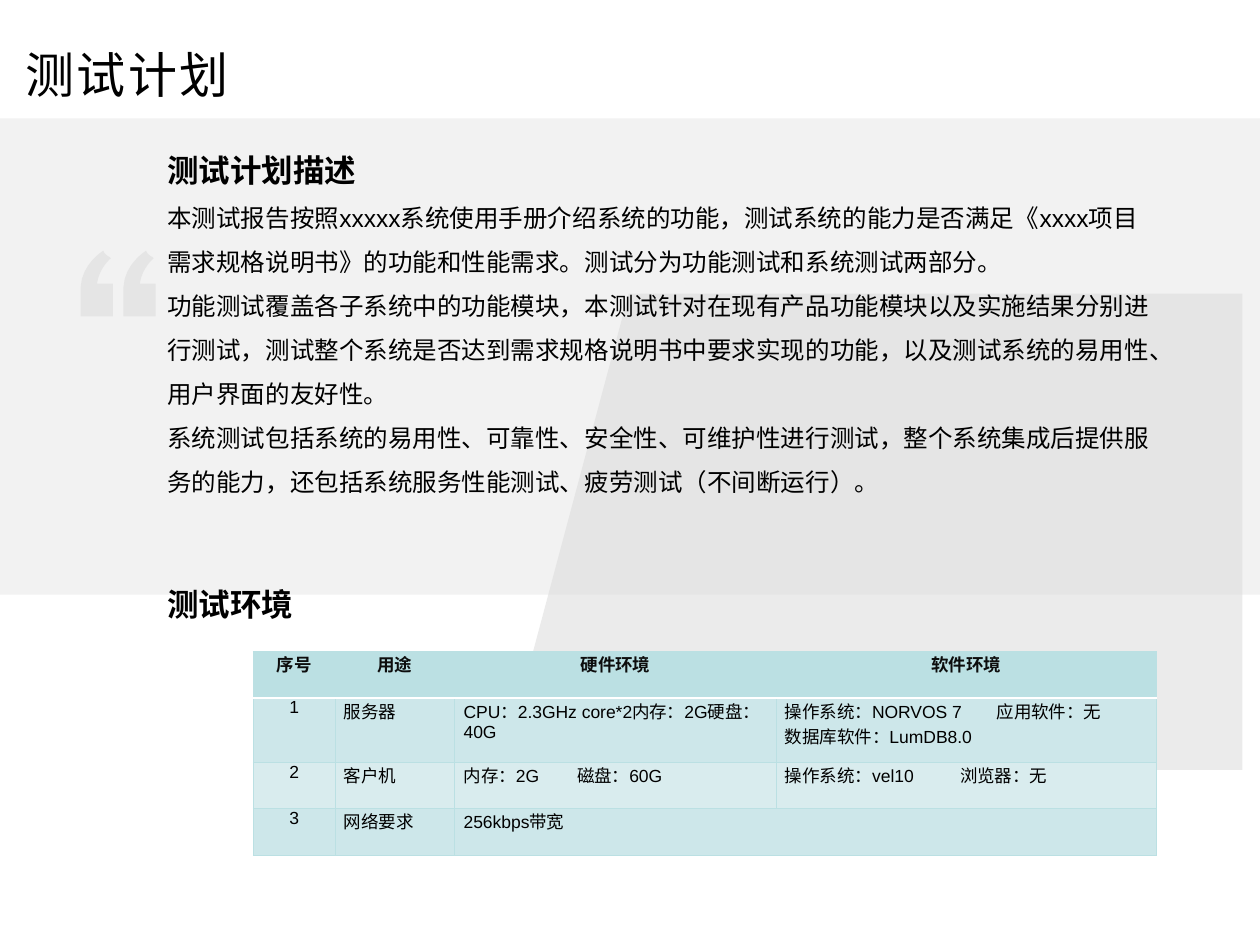
import pptx
import pptx.util
import pptx.dml.color
import pptx.enum.shapes
import pptx.enum.text
import pptx.oxml.ns
import lxml.etree

COLORS = {
    "ink": "000000", "header ink": "0D0D0D", "band": "F2F2F2", "veil": "D9D9D9",
    "teal": "BBE0E3", "row dark": "CDE7EA", "row light": "D9ECEE", "white": "FFFFFF",
}
LATIN, ASIAN = "Arial", "Noto Sans CJK SC"
ALIGN = pptx.enum.text.PP_ALIGN


def rgb(name):
    return pptx.dml.color.RGBColor.from_string(COLORS[name])


def add_xml(parent, tag, **attributes):
    values = {key: str(value) for key, value in attributes.items()}
    return lxml.etree.SubElement(parent, pptx.oxml.ns.qn(tag), values)


def write(para, text, size=14, bold=False, color="ink", latin=LATIN,
          align=ALIGN.LEFT, line=None, before=0, tracking=None, tab=None):
    """Fill a paragraph; a vertical tab in the text is a line break."""
    para.alignment = align
    para.space_before = pptx.util.Pt(before)
    para.space_after = pptx.util.Pt(0)
    para.line_spacing = pptx.util.Pt(line) if line else 1.0
    if tab:
        stops = add_xml(para._p.get_or_add_pPr(), "a:tabLst")
        add_xml(stops, "a:tab", pos=pptx.util.Inches(tab), algn="l")
    for index, piece in enumerate(text.split("\v")):
        if index:
            para.add_line_break()
        span = para.add_run()
        span.text = piece
        span.font.size = pptx.util.Pt(size)
        span.font.bold = bold
        span.font.name = latin
        span.font.color.rgb = rgb(color)
        properties = span.font._element
        add_xml(properties, "a:ea", typeface=ASIAN)
        if tracking:
            properties.set("spc", str(int(tracking * 100)))


class Page:
    """The current slide, measured on a grid of 100 columns by 75 rows."""
    columns, rows = 100, 75

    def __init__(self, deck):
        self.slide = deck.slides.add_slide(deck.slide_layouts[5])
        self.shapes = self.slide.shapes
        self.column = deck.slide_width / self.columns
        self.row = deck.slide_height / self.rows

    def x(self, columns):
        return pptx.util.Emu(round(columns * self.column))

    def y(self, rows):
        return pptx.util.Emu(round(rows * self.row))

    def frame(self, left, top, width, height):
        return self.x(left), self.y(top), self.x(width), self.y(height)

    def paint(self, shape, color, opacity=100):
        shape.shadow.inherit = False
        shape.fill.solid()
        shape.fill.fore_color.rgb = rgb(color)
        shape.line.fill.background()
        if opacity < 100:
            tone = shape._element.spPr.find(".//" + pptx.oxml.ns.qn("a:srgbClr"))
            add_xml(tone, "a:alpha", val=opacity * 1000)

    def title(self, text, *place):
        box = self.shapes.title
        box.left, box.top, box.width, box.height = self.frame(*place)
        frame = box.text_frame
        frame.word_wrap = True
        frame.auto_size = pptx.enum.text.MSO_AUTO_SIZE.NONE
        frame.vertical_anchor = pptx.enum.text.MSO_ANCHOR.TOP
        frame.margin_left, frame.margin_right = self.x(0.8), self.x(0.7)
        frame.margin_top, frame.margin_bottom = self.y(1.4), 0
        write(frame.paragraphs[0], text, size=28, latin=ASIAN, tracking=1.5)

    def rectangle(self, color, *place):
        kind = pptx.enum.shapes.MSO_SHAPE.RECTANGLE
        self.paint(self.shapes.add_shape(kind, *self.frame(*place)), color)

    def outline(self, points, color, opacity):
        points = [(self.x(x), self.y(y)) for x, y in points]
        builder = self.shapes.build_freeform(*points[0], scale=1.0)
        builder.add_line_segments(points[1:], close=True)
        self.paint(builder.convert_to_shape(), color, opacity)

    def text(self, paragraphs, *place):
        frame = self.shapes.add_textbox(*self.frame(*place)).text_frame
        frame.word_wrap = True
        for index, (words, style) in enumerate(paragraphs):
            para = frame.add_paragraph() if index else frame.paragraphs[0]
            write(para, words, **style)

    def border(self, cell, side, color, width):
        line = add_xml(cell._tc.get_or_add_tcPr(), "a:ln" + side,
                       w=pptx.util.Pt(width))
        add_xml(add_xml(line, "a:solidFill"), "a:srgbClr", val=COLORS[color])

    def table(self, records, widths, heights, left, top):
        place = self.frame(left, top, sum(widths), sum(heights))
        table = self.shapes.add_table(len(records), len(widths), *place).table
        table.first_row = table.horz_banding = False
        for column, width in zip(table.columns, widths):
            column.width = self.x(width)
        for row, height in zip(table.rows, heights):
            row.height = self.y(height)
        fills = ["teal", "row dark", "row light", "row dark"]
        for r, record in enumerate(records):
            for c, entry in enumerate(record):
                cell = table.cell(r, c)
                cell.margin_left = cell.margin_right = self.x(0.7)
                cell.margin_top = cell.margin_bottom = 0
                for side in "LRTB":
                    rule = (r, side) in ((0, "B"), (1, "T"))
                    self.border(cell, side, "white" if rule else "teal",
                                1 if rule else 0.5)
                cell.fill.solid()
                cell.fill.fore_color.rgb = rgb(fills[r])
                if entry is None:
                    table.cell(r, c - 1).merge(cell)
                    continue
                words, tab = entry if isinstance(entry, tuple) else (entry, None)
                centred = r == 0 or c == 0
                write(cell.text_frame.paragraphs[0], words, size=10, bold=r == 0,
                      color="ink" if r else "header ink", tab=tab,
                      align=ALIGN.CENTER if centred else ALIGN.LEFT)


def curve(start, first, second, end, steps=8):
    """Points along a cubic curve, without its start."""
    for step in range(1, steps + 1):
        t = step / steps
        weights = (1 - t) ** 3, 3 * t * (1 - t) ** 2, 3 * t * t * (1 - t), t ** 3
        yield tuple(sum(w * p[axis] for w, p in zip(weights, (start, first, second, end)))
                    for axis in (0, 1))


def quote_mark(left, top):
    points = [(1.8, 0), (1.9, 0.2),
              *curve((1.9, 0.2), (2.0, 0.3), (2.1, 0.4), (2.3, 0.5)), (2.4, 0.6),
              *curve((2.4, 0.6), (2.4, 0.6), (1.5, 1.3), (1.3, 2.6)),
              (2.55, 2.6), (2.55, 5.2), (0, 5.2), (0, 2.9),
              *curve((0, 2.9), (0.1, 1.0), (1.8, 0), (1.8, 0))]
    return [(left + x, top + y) for x, y in points]


deck = pptx.Presentation()
deck.slide_width, deck.slide_height = pptx.util.Inches(10), pptx.util.Inches(7.5)
page = Page(deck)

# Background band, slanted veil and quote marks
page.rectangle("band", 0, 9.4, 100, 37.8)
page.outline([(49.9, 23.3), (98.6, 23.3), (98.6, 61.1), (39.8, 61.1)], "veil", 50)
for mark_left in (6.4, 9.8):
    page.outline(quote_mark(mark_left, 19.9), "veil", 50)

# Title
page.title("测试计划", 1.2, 2.1, 80.3, 9.1)

# Plan description and heading of the table
heading = {"size": 18, "bold": True, "line": 33.7}
body = {"size": 14, "line": 25.14}
page.text([
    ("测试计划描述", heading),
    ("本测试报告按照xxxxx系统使用手册介绍系统的功能，测试系统的能力是否满足《xxxx项目"
     "需求规格说明书》的功能和性能需求。测试分为功能测试和系统测试两部分。", body),
    ("功能测试覆盖各子系统中的功能模块，本测试针对在现有产品功能模块以及实施结果分别进行"
     "测试，测试整个系统是否达到需求规格说明书中要求实现的功能，以及测试系统的易用性、"
     "用户界面的友好性。", body),
    ("系统测试包括系统的易用性、可靠性、安全性、可维护性进行测试，整个系统集成后提供服务的"
     "能力，还包括系统服务性能测试、疲劳测试（不间断运行）。", body),
    ("测试环境", {**heading, "before": 38.4}),
], 12.3, 9.8, 80, 66)

# Test environment; a pair holds the words and their tab stop in inches
page.table([
    ["序号", "用途", "硬件环境", "软件环境"],
    ["1", "服务器", "CPU：2.3GHz core*2内存：2G硬盘：40G",
     ("操作系统：NORVOS 7\t应用软件：无\v数据库软件：LumDB8.0", 1.68)],
    ["2", "客户机", ("内存：2G\t磁盘：60G", 0.9), ("操作系统：vel10\t浏览器：无", 1.39)],
    ["3", "网络要求", "256kbps带宽", None],
], widths=[6.5, 9.5, 25.5, 30.2], heights=[3.7, 5.1, 3.7, 3.7], left=20.1, top=51.7)

deck.save("out.pptx")
